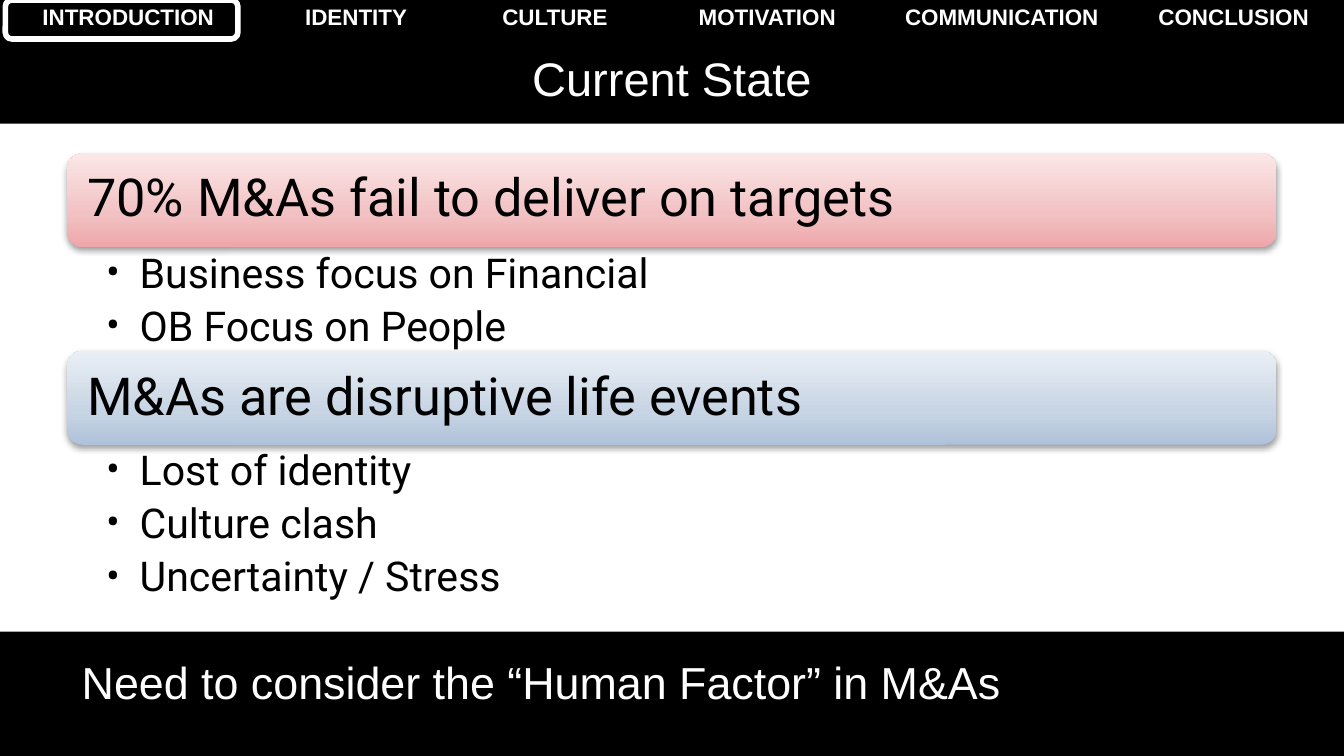
from dataclasses import dataclass

from lxml import etree
from pptx import Presentation
from pptx.dml.color import RGBColor
from pptx.enum import shapes, text
from pptx.oxml import parse_xml
from pptx.oxml.ns import nsdecls, qn
from pptx.util import Inches, Pt

COLOURS = {
    "black": "000000",
    "white": "FFFFFF",
    "red": ("EEA6A9", "F2C1C3", "FBE7E7"),
    "blue": ("AFC2DA", "C7D4E4", "EAEFF5"),
}
STOPS = (0, 35, 100)
CHAPTERS = {
    "INTRODUCTION": 1.91,
    "IDENTITY": 1.48,
    "CULTURE": 1.48,
    "MOTIVATION": 1.68,
    "COMMUNICATION": 1.81,
    "CONCLUSION": 1.64,
}
SLIDE_WIDTH = 10
SLIDE_HEIGHT = SLIDE_WIDTH * 9 / 16
BANNER_HEIGHT = 0.7


@dataclass
class Topic:
    headline: str
    points: tuple[str, ...]
    top: float
    headline_top: float
    colour: str
    points_height: float


TOPICS = (
    Topic("70% M&As fail to deliver on targets",
          ("Business focus on Financial", "OB Focus on People"), 1.14, 1.17, "red", 0.78),
    Topic("M&As are disruptive life events",
          ("Lost of identity", "Culture clash", "Uncertainty / Stress"), 2.61, 2.65, "blue", 1.17),
)


def rgb(name: str) -> RGBColor:
    return RGBColor.from_string(COLOURS[name])


def write(frame, *lines: str, size: float, font: str = "Arial", colour: str = "white",
          bold: bool = False, align=text.PP_ALIGN.LEFT, anchor=text.MSO_ANCHOR.TOP,
          insets=(0.1, 0.05, 0.1, 0.05), spacing: float = 1, before: float = 0,
          after: float = 0, bullet: bool = False) -> None:
    frame.word_wrap = True
    frame.vertical_anchor = anchor
    frame.margin_left, frame.margin_top, frame.margin_right, frame.margin_bottom = map(Inches, insets)
    for index, line in enumerate(lines):
        paragraph = frame.add_paragraph() if index else frame.paragraphs[0]
        paragraph.alignment = align
        paragraph.line_spacing = spacing
        paragraph.space_before, paragraph.space_after = Pt(before), Pt(after)
        run = paragraph.add_run()
        run.text = line
        run.font.name, run.font.size, run.font.bold = font, Pt(size), bold
        run.font.color.rgb = rgb(colour)
        if bullet:
            paragraph.level = 1
            properties = paragraph._p.get_or_add_pPr()
            properties.set("marL", str(Inches(0.25)))
            properties.set("indent", str(-Inches(0.25)))
            etree.SubElement(properties, qn("a:buFont"), typeface=font)
            etree.SubElement(properties, qn("a:buChar")).set("char", "•")


def add_text(slide, box: tuple, *lines: str, **style) -> None:
    write(slide.shapes.add_textbox(*map(Inches, box)).text_frame, *lines, **style)


def add_block(slide, kind, box: tuple, fill: str = "", line: str = "", width: float = 0):
    block = slide.shapes.add_shape(kind, *map(Inches, box))
    block.shadow.inherit = False
    if fill:
        block.fill.solid()
        block.fill.fore_color.rgb = rgb(fill)
    else:
        block.fill.background()
    if line:
        block.line.color.rgb = rgb(line)
        block.line.width = Pt(width)
    else:
        block.line.fill.background()
    return block


def add_banner(slide, box: tuple, colour: str) -> None:
    banner = add_block(slide, shapes.MSO_SHAPE.ROUNDED_RECTANGLE, box)
    banner.fill.gradient()
    banner.fill.gradient_angle = 90
    properties = banner._element.spPr
    stops = properties.find(qn("a:gradFill")).find(qn("a:gsLst"))
    for stop in list(stops):
        stops.remove(stop)
    for position, shade in zip(STOPS, COLOURS[colour]):
        stop = etree.SubElement(stops, qn("a:gs"), pos=str(position * 1000))
        etree.SubElement(stop, qn("a:srgbClr"), val=shade)
    properties.find(qn("a:effectLst")).append(parse_xml(
        f'<a:outerShdw {nsdecls("a")} blurRad="{Pt(3.1)}" dist="{Pt(1.6)}" dir="5400000" '
        f'rotWithShape="0"><a:srgbClr val="{COLOURS["black"]}"><a:alpha val="38000"/>'
        '</a:srgbClr></a:outerShdw>'))


def add_topic(slide, topic: Topic) -> None:
    add_banner(slide, (0.5, topic.top, 9, BANNER_HEIGHT), topic.colour)
    add_text(slide, (0.53, topic.headline_top, 8.93, 0.63), topic.headline, size=28,
             font="Roboto", colour="black", anchor=text.MSO_ANCHOR.MIDDLE,
             insets=(0.12,) * 4, spacing=0.9)
    add_text(slide, (0.5, topic.top + BANNER_HEIGHT, 9, topic.points_height), *topic.points,
             size=22, font="Roboto", colour="black", insets=(0.29, 0.04, 0.22, 0.04),
             spacing=0.9, after=4.7, bullet=True)


def add_navigation(slide) -> None:
    navigation = slide.shapes.add_table(
        1, len(CHAPTERS), 0, 0, Inches(SLIDE_WIDTH), Inches(0.3)).table
    navigation.first_row = navigation.horz_banding = False
    navigation.rows[0].height = Inches(0.3)
    for index, (chapter, width) in enumerate(CHAPTERS.items()):
        navigation.columns[index].width = Inches(width)
        cell = navigation.cell(0, index)
        write(cell.text_frame, chapter, size=12, bold=True, align=text.PP_ALIGN.CENTER)
        cell.margin_left = cell.margin_right = Inches(0.1)
        cell.margin_top = cell.margin_bottom = Inches(0.04)
        properties = cell._tc.get_or_add_tcPr()
        for side in ("lnL", "lnR", "lnT", "lnB"):
            border = etree.SubElement(properties, qn(f"a:{side}"))
            etree.SubElement(border, qn("a:noFill"))
        cell.fill.background()


def main() -> None:
    """Build the slide on the current state of mergers."""
    deck = Presentation()
    deck.slide_width, deck.slide_height = Inches(SLIDE_WIDTH), Inches(SLIDE_HEIGHT)
    slide = deck.slides.add_slide(deck.slide_layouts[6])
    rectangle = shapes.MSO_SHAPE.RECTANGLE
    add_block(slide, rectangle, (0, 0, SLIDE_WIDTH, SLIDE_HEIGHT),
              fill="black", line="black", width=2)
    add_block(slide, rectangle, (0, 0.92, SLIDE_WIDTH, 3.78), fill="white")
    add_navigation(slide)
    add_text(slide, (0.5, 0.37, 9, 0.41), "Current State", size=25.2,
             align=text.PP_ALIGN.CENTER, anchor=text.MSO_ANCHOR.MIDDLE)
    for topic in TOPICS:
        add_topic(slide, topic)
    add_text(slide, (0.51, 4.82, 9.06, 0.65),
             "Need to consider the “Human Factor” in M&As", size=24, before=4.8)
    add_block(slide, shapes.MSO_SHAPE.ROUNDED_RECTANGLE, (0.04, 0, 1.73, 0.29),
              line="white", width=3)
    deck.save("out.pptx")


if __name__ == "__main__":
    main()
